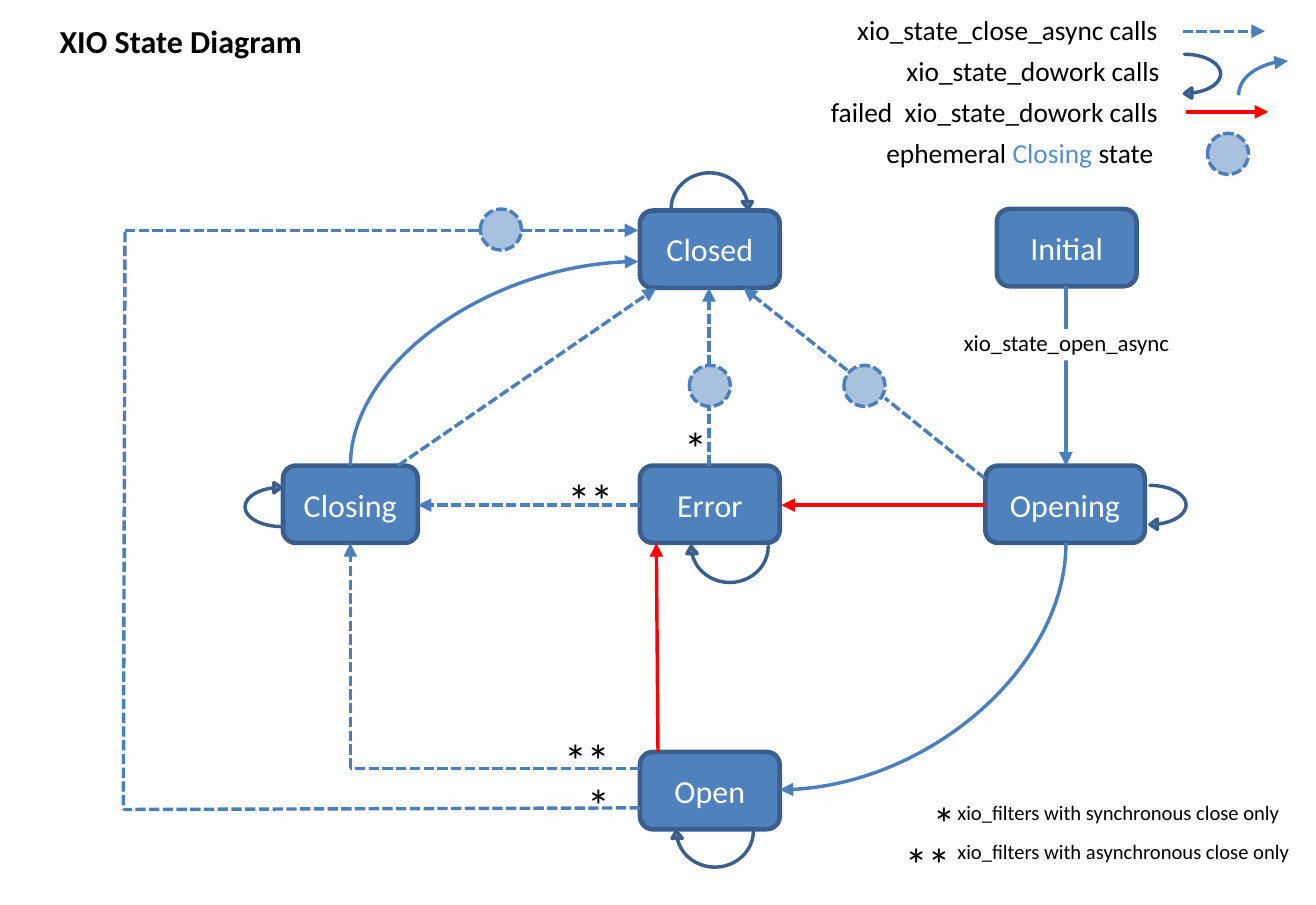
from pptx import Presentation
from pptx.dml.color import RGBColor
from pptx.enum.dml import MSO_LINE
from pptx.enum.shapes import MSO_CONNECTOR as Connector, MSO_SHAPE as Shape
from pptx.enum.text import MSO_ANCHOR as Anchor, MSO_AUTO_SIZE as AutoSize, PP_ALIGN as Align
from pptx.oxml.ns import qn
from pptx.util import Inches, Pt
from lxml.etree import SubElement

COLUMNS, ROWS = 80, 55
WIDTH, HEIGHT = Inches(8), Inches(5.5)
FONT = "Calibri"
BLUE = RGBColor(0x4F, 0x81, 0xBD)
DARK_BLUE = RGBColor(0x3A, 0x5F, 0x8C)
LINE_BLUE = RGBColor(0x4B, 0x7E, 0xBC)
CLOSING_BLUE = RGBColor(0x55, 0x8E, 0xD5)
RED = RGBColor(0xFF, 0, 0)
BLACK = RGBColor(0, 0, 0)
WHITE = RGBColor(0xFF, 0xFF, 0xFF)

STATE_HEIGHT = 4.7
MIDDLE_LEFT, MIDDLE_TOP = 38.9, 28.3
STATES = [
    ("Closed", MIDDLE_LEFT, 12.8, 8.5),
    ("Opening", 59.9, MIDDLE_TOP, 9.7),
    ("Closing", 17.2, MIDDLE_TOP, 8.2),
    ("Open", MIDDLE_LEFT, 45.7, 8.5),
    ("Error", MIDDLE_LEFT, MIDDLE_TOP, 8.5),
    ("Initial", 60.6, 12.7, 8.5),
]
CLOSE_CALLS = [
    ((21.3, 46.7), (21.3, 33), True),
    ((38.9, 46.7), (21.3, 46.7), False),
    ((43.1, 28.3), (43.1, 24.7), False),
    ((43.1, 22.2), (43.1, 17.5), True),
    ((38.9, 49.1), (7.5, 49.2), False),
    ((7.6, 14.1), (7.5, 49.2), False),
    ((7.6, 14), (29.2, 14), False),
    ((31.7, 14), (38.8, 14), True),
    ((59.9, 29.1), (53.8, 24.2), False),
    ((51.5, 22.5), (45.2, 17.5), True),
    ((24.2, 28.3), (39.9, 17.5), True),
    ((38.9, 30.7), (25.4, 30.7), True),
    ((71.9, 1.9), (76.9, 1.9), True),
]
FAILED_CALLS = [
    ((59.9, 30.7), (47.5, 30.7)),
    ((40, 45.7), (39.9, 33)),
    ((72.1, 6.8), (77.1, 6.8)),
]
CURVES = [((64.8, 33), (47.4, 48)), ((21.3, 28.3), (38.8, 15.9)), ((75.3, 5.8), (78.3, 3.7))]
LOOPS = [
    (72, 3.3, 2.7, 0),
    (69.9, 29.5, 2.7, 0),
    (14.9, 29.3, 2.7, 180),
    (42.2, 49.1, 5, 90),
    (43.1, 31.8, 5, 90),
    (42.2, 9.1, 5, 270),
]
EPHEMERAL_STATES = [(29.2, 12.7), (73.4, 8.1), (41.9, 22.2), (51.3, 22.2)]
LEGEND = [
    (50.3, 0, 21.6, [("xio_state_close_async calls", BLACK)]),
    (53.3, 2.5, 18.7, [("xio_state_dowork calls", BLACK)]),
    (48.7, 5, 23.2, [("failed  xio_state_dowork calls", BLACK)]),
    (51.4, 7.5, 20.2, [("ephemeral", BLACK), (" Closing ", CLOSING_BLUE), ("state", BLACK)]),
]
MARKS = [
    (56.7, 48.3, "*"), (55, 50.8, "**"), (35.7, 47.2, "*"),
    (34.3, 44.5, "**"), (41.6, 25.5, "*"), (34.5, 28.7, "**"),
]
FOOTNOTES = [
    (48.6, 21.2, "xio_filters with synchronous close only"),
    (51, 20.9, "xio_filters with asynchronous close only"),
]


def across(columns):
    return round(WIDTH * columns / COLUMNS)


def down(rows):
    return round(HEIGHT * rows / ROWS)


def box(left, top, width, height):
    return across(left), down(top), across(width), down(height)


def style_line(line, color, width, dashed=False):
    line.color.rgb = color
    line.width = Pt(width)
    if dashed:
        line.dash_style = MSO_LINE.SQUARE_DOT


def write(paragraph, runs, size, bold=False):
    for text, color in runs:
        run = paragraph.add_run()
        run.text = text
        run.font.name = FONT
        run.font.size = Pt(size)
        run.font.bold = bold
        run.font.color.rgb = color


def add_text(slide, area, runs, size, align=Align.LEFT, insets=(0, 0, 0, 0), wrap=False, bold=False):
    shape = slide.shapes.add_textbox(*box(*area))
    frame = shape.text_frame
    frame.word_wrap = wrap
    frame.auto_size = AutoSize.SHAPE_TO_FIT_TEXT
    frame.margin_left, frame.margin_top, frame.margin_right, frame.margin_bottom = map(Inches, insets)
    paragraph = frame.paragraphs[0]
    paragraph.alignment = align
    write(paragraph, runs, size, bold)
    return shape


def add_filled(slide, kind, area, line_color, line_width, dashed=False):
    shape = slide.shapes.add_shape(kind, *box(*area))
    shape.shadow.inherit = False
    shape.fill.solid()
    shape.fill.fore_color.rgb = BLUE
    style_line(shape.line, line_color, line_width, dashed)
    return shape


def add_state(slide, name, left, top, width):
    shape = add_filled(slide, Shape.ROUNDED_RECTANGLE, (left, top, width, STATE_HEIGHT), DARK_BLUE, 2)
    frame = shape.text_frame
    frame.vertical_anchor = Anchor.MIDDLE
    paragraph = frame.paragraphs[0]
    paragraph.alignment = Align.CENTER
    write(paragraph, [(name, WHITE)], 14)


def add_loop(slide, left, top, span, rotation):
    shape = add_filled(slide, Shape.CURVED_LEFT_ARROW, (left, top, 2.2, span), DARK_BLUE, 1.5)
    for index, value in enumerate((0, 0.286, 0.207)):
        shape.adjustments[index] = value
    shape.rotation = rotation


def add_ephemeral(slide, left, top):
    shape = add_filled(slide, Shape.OVAL, (left, top, 2.5, 2.5), LINE_BLUE, 1.5, True)
    color = shape.fill._xPr.find(qn("a:solidFill"))[0]
    SubElement(color, qn("a:alpha")).set("val", "49000")


def add_line(slide, start, end, color=LINE_BLUE, dashed=False, arrow=True, kind=Connector.STRAIGHT):
    connector = slide.shapes.add_connector(
        kind, across(start[0]), down(start[1]), across(end[0]), down(end[1]))
    style_line(connector.line, color, 1.5, dashed)
    if arrow:
        SubElement(connector.line._get_or_add_ln(), qn("a:tailEnd")).set("type", "triangle")
    SubElement(connector._element.spPr, qn("a:effectLst"))
    return connector


def add_curve(slide, start, end):
    center_x, center_y = (start[0] + end[0]) / 2, (start[1] + end[1]) / 2
    half_x, half_y = (end[0] - start[0]) / 2, (end[1] - start[1]) / 2
    connector = add_line(
        slide, (center_x - half_y, center_y + half_x), (center_x + half_y, center_y - half_x),
        kind=Connector.CURVE)
    properties = connector._element.spPr
    properties.find(qn("a:prstGeom")).set("prst", "curvedConnector2")
    properties.find(qn("a:xfrm")).set("rot", str(90 * 60000))


def main():
    presentation = Presentation()
    presentation.slide_width, presentation.slide_height = WIDTH, HEIGHT
    slide = presentation.slides.add_slide(presentation.slide_layouts[6])
    for state in STATES:
        add_state(slide, *state)
    for start, end, arrow in CLOSE_CALLS:
        add_line(slide, start, end, dashed=True, arrow=arrow)
    for start, end in FAILED_CALLS:
        add_line(slide, start, end, RED)
    add_line(slide, (64.8, 17.4), (64.8, 28.3))
    for start, end in CURVES:
        add_curve(slide, start, end)
    for loop in LOOPS:
        add_loop(slide, *loop)
    for position in EPHEMERAL_STATES:
        add_ephemeral(slide, *position)
    add_text(slide, (1.7, 0.8, 18.6, 3.4), [("XIO State Diagram", BLACK)], 14, Align.CENTER,
             (0.1, 0.05, 0.1, 0.05), True, True)
    for left, top, width, runs in LEGEND:
        add_text(slide, (left, top, width, 3.6), runs, 12, Align.RIGHT, (0.15, 0.08, 0.15, 0.08))
    open_label = add_text(slide, (58.6, 20, 12.7, 1.9), [("xio_state_open_async", BLACK)], 10,
                          insets=(0, 0, 0, 0.02))
    open_label.fill.solid()
    open_label.fill.fore_color.rgb = WHITE
    for left, top, mark in MARKS:
        add_text(slide, (left, top, 1.6 * len(mark), 3.4), [(mark, BLACK)], 20, wrap=True)
    for top, width, note in FOOTNOTES:
        add_text(slide, (58.2, top, width, 1.5), [(note, BLACK)], 9)
    presentation.save("out.pptx")


main()
